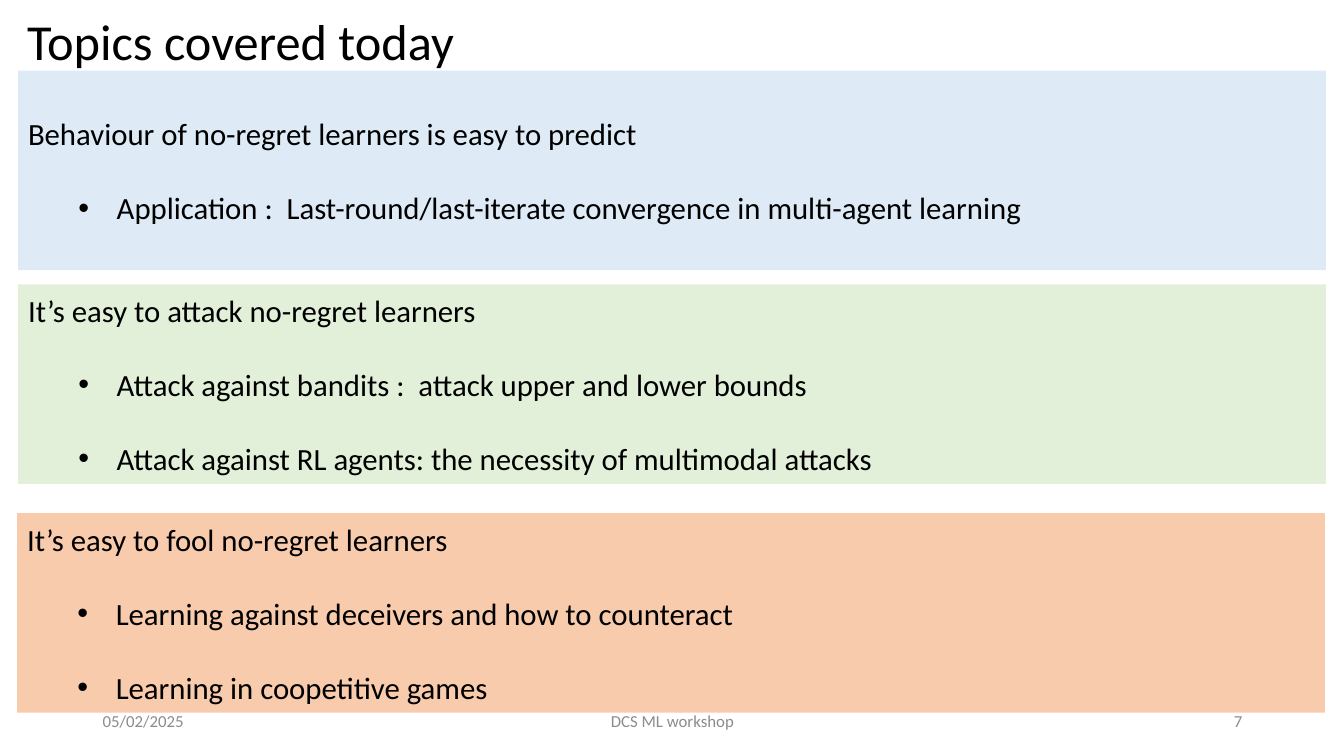
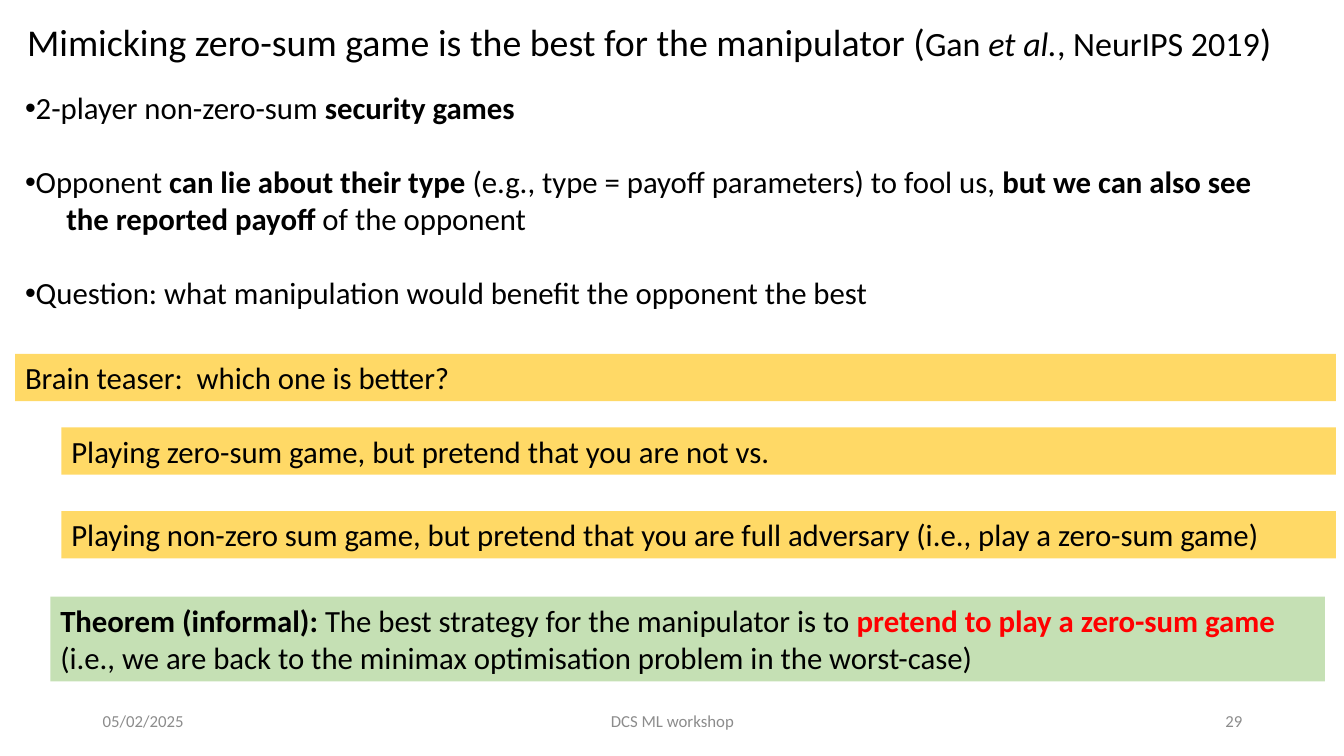
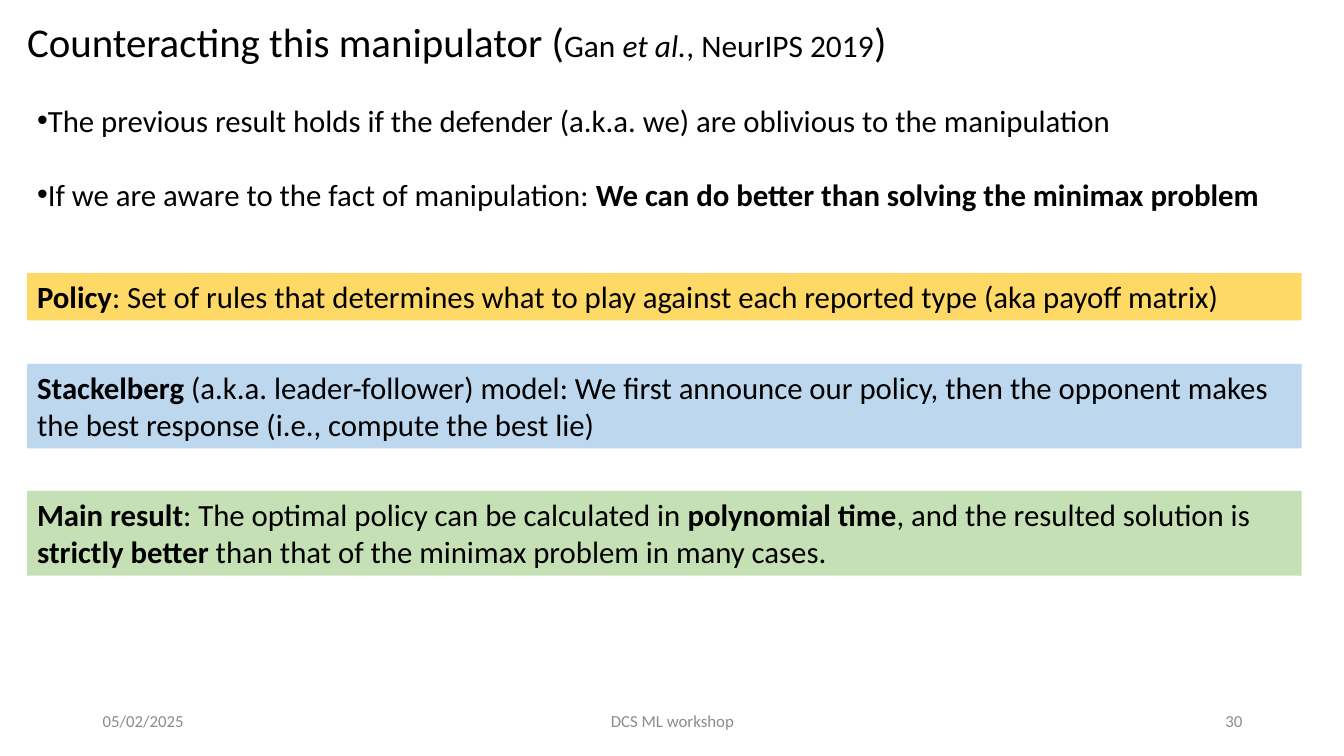
from dataclasses import dataclass

from lxml.etree import SubElement
from pptx import Presentation
from pptx.dml.color import RGBColor
from pptx.enum.shapes import MSO_SHAPE
from pptx.enum.text import MSO_ANCHOR, MSO_AUTO_SIZE, PP_ALIGN
from pptx.oxml.ns import qn
from pptx.util import Inches, Pt


@dataclass(frozen=True)
class Theme:
    font: str = "Calibri"
    ink: str = "000000"
    alert: str = "FF0000"
    muted: str = "8C8C8C"
    pale_blue: str = "DEEBF7"
    pale_green: str = "E2F0D9"
    peach: str = "F8CBAD"
    gold: str = "FFD966"
    blue: str = "BDD7EE"
    green: str = "C5E0B4"
    title_size: float = 36
    body_size: float = 22
    footer_size: float = 12
    line_gap: float = 26.5


@dataclass(frozen=True)
class Span:
    """A stretch of text that departs from its paragraph's font."""
    text: str
    bold: bool | None = None
    italic: bool | None = None
    size: float | None = None
    color: str | None = None


@dataclass(frozen=True)
class Line:
    """A paragraph; margin and hang are in inches."""
    spans: tuple
    margin: float = 0
    hang: float = 0
    bullet: bool = False
    spaced: bool = True


def bold(text, color=None):
    return Span(text, bold=True, color=color)


def point(*spans):
    return Line(spans, margin=0.06, hang=-0.38, bullet=True)


def subpoint(text):
    return Line((text,), margin=0.88, hang=-0.38, bullet=True)


def citation(size):
    """The cited paper, set smaller than the title around it."""
    return (Span("Gan ", size=size), Span("et al.", italic=True, size=size),
            Span(", NeurIPS 2019", size=size))


class Deck:
    def __init__(self, theme):
        self.theme = theme
        self.presentation = Presentation()
        self.presentation.slide_width = Inches(13.33)
        self.presentation.slide_height = Inches(7.5)
        self.slide = None

    def start_slide(self, number, *title, title_size=None):
        self.slide = self.presentation.slides.add_slide(
            self.presentation.slide_layouts[6])
        self.text((0.17, 0.09, 12.97, 0.69), [Line(title)],
                  size=title_size or self.theme.title_size, line_spacing=0.9)
        footers = ((0.92, 3, "05/02/2025", PP_ALIGN.LEFT),
                   (4.42, 4.5, "DCS ML workshop", PP_ALIGN.CENTER),
                   (9.42, 3, str(number), PP_ALIGN.RIGHT))
        for left, width, label, align in footers:
            self.text((left, 6.95, width, 0.4), [Line((label,))],
                      size=self.theme.footer_size, color=self.theme.muted, align=align)

    def text(self, place, lines, bottom_inset=0.05, **style):
        box = self.slide.shapes.add_textbox(*map(Inches, place))
        box.text_frame.margin_bottom = Inches(bottom_inset)
        self.set_lines(box.text_frame, lines, **style)

    def band(self, place, fill, lines):
        self.set_lines(self.rectangle(place, fill).text_frame, lines)

    def callout(self, place, fill, *spans):
        """A one-paragraph band whose height follows its text."""
        frame = self.rectangle(place, fill).text_frame
        self.set_lines(frame, [Line(spans)], anchor=MSO_ANCHOR.TOP)
        frame.auto_size = MSO_AUTO_SIZE.SHAPE_TO_FIT_TEXT

    def rectangle(self, place, fill):
        shape = self.slide.shapes.add_shape(MSO_SHAPE.RECTANGLE, *map(Inches, place))
        shape.shadow.inherit = False
        shape.fill.solid()
        shape.fill.fore_color.rgb = RGBColor.from_string(fill)
        shape.line.fill.background()
        return shape

    def set_lines(self, frame, lines, size=None, color=None, align=PP_ALIGN.LEFT,
                  anchor=MSO_ANCHOR.MIDDLE, line_spacing=None):
        frame.word_wrap = True
        frame.vertical_anchor = anchor
        for index, line in enumerate(lines):
            paragraph = frame.add_paragraph() if index else frame.paragraphs[0]
            paragraph.alignment = align
            paragraph.line_spacing = line_spacing
            if index and line.spaced:
                paragraph.space_before = Pt(self.theme.line_gap)
            self.indent(paragraph, line)
            paragraph.font.name = self.theme.font
            paragraph.font.size = Pt(size or self.theme.body_size)
            paragraph.font.color.rgb = RGBColor.from_string(color or self.theme.ink)
            for span in line.spans:
                self.add_span(paragraph, span)

    @staticmethod
    def indent(paragraph, line):
        properties = paragraph._p.get_or_add_pPr()
        properties.set("marL", str(Inches(line.margin)))
        properties.set("indent", str(Inches(line.hang)))
        if line.bullet:
            SubElement(properties, qn("a:buFont"), typeface="Arial")
            SubElement(properties, qn("a:buChar"), char="•")

    @staticmethod
    def add_span(paragraph, span):
        run = paragraph.add_run()
        if isinstance(span, str):
            run.text = span
            return
        run.text = span.text
        run.font.bold = span.bold
        run.font.italic = span.italic
        if span.size:
            run.font.size = Pt(span.size)
        if span.color:
            run.font.color.rgb = RGBColor.from_string(span.color)


def topics_slide(deck):
    theme = deck.theme
    deck.start_slide(7, "Topics covered today")
    topics = (
        (0.18, 0.7, theme.pale_blue, "Behaviour of no-regret learners is easy to predict",
         ["Application :  Last-round/last-iterate convergence in multi-agent learning"]),
        (0.18, 2.82, theme.pale_green, "It’s easy to attack no-regret learners",
         ["Attack against bandits :  attack upper and lower bounds",
          "Attack against RL agents: the necessity of multimodal attacks"]),
        (0.17, 5.09, theme.peach, "It’s easy to fool no-regret learners",
         ["Learning against deceivers and how to counteract",
          "Learning in coopetitive games"]),
    )
    for left, top, fill, heading, details in topics:
        deck.band((left, top, 12.97, 1.98), fill,
                  [Line((heading,)), *map(subpoint, details)])


def mimicking_slide(deck):
    theme = deck.theme
    deck.start_slide(29, "Mimicking zero-sum game is the best for the manipulator (",
                     *citation(24.3), ")", title_size=27)
    deck.text((0.15, 0.79, 12.97, 2.39), [
        point("2-player non-zero-sum ", bold("security games")),
        point("Opponent ", bold("can lie about their type "),
              "(e.g., type = payoff parameters) to fool us, ",
              bold("but we can also see")),
        Line((bold("the reported payoff "), "of the opponent"), margin=0.41, spaced=False),
        point("Question: what manipulation would benefit the opponent the best"),
    ])
    teasers = (
        (0.15, 3.51, 13.1, "Brain teaser:  which one is better?"),
        (0.61, 4.24, 12.64, "Playing zero-sum game, but pretend that you are not vs."),
        (0.61, 5.07, 12.64, "Playing non-zero sum game, but pretend that you are full "
                            "adversary (i.e., play a zero-sum game)"),
    )
    for left, top, width, teaser in teasers:
        deck.callout((left, top, width, 0.47), theme.gold, teaser)
    deck.callout((0.5, 5.92, 12.64, 0.84), theme.green,
                 bold("Theorem (informal): "),
                 "The best strategy for the manipulator is to ",
                 bold("pretend to play a zero-sum game ", theme.alert),
                 "(i.e., we are back to the minimax optimisation problem in the worst-case)")


def counteracting_slide(deck):
    theme = deck.theme
    deck.start_slide(30, "Counteracting this manipulator (", *citation(22.4), ")",
                     title_size=29.2)
    deck.text((0.27, 0.77, 12.97, 1.95), [
        point("The previous result holds if the defender (a.k.a. we) are oblivious "
              "to the manipulation"),
        point("If we are aware to the fact of manipulation: ",
              bold("We can do better than solving the minimax problem")),
    ], bottom_inset=0.42)
    statements = (
        (2.71, 0.47, theme.gold,
         (bold("Policy"), ": Set of rules that determines what to play against each "
                          "reported type (aka payoff matrix)")),
        (3.61, 0.84, theme.blue,
         (bold("Stackelberg"), " (a.k.a. leader-follower) model: We first announce our "
                               "policy, then the opponent makes the best response "
                               "(i.e., compute the best lie)")),
        (4.87, 0.84, theme.green,
         (bold("Main result"), ": The optimal policy can be calculated in ",
          bold("polynomial time"), ", and the resulted solution is ",
          bold("strictly better "), "than that of the minimax problem in many cases.")),
    )
    for top, height, fill, spans in statements:
        deck.callout((0.27, top, 12.64, height), fill, *spans)


def main():
    deck = Deck(Theme())
    topics_slide(deck)
    mimicking_slide(deck)
    counteracting_slide(deck)
    deck.presentation.save("out.pptx")


if __name__ == "__main__":
    main()
